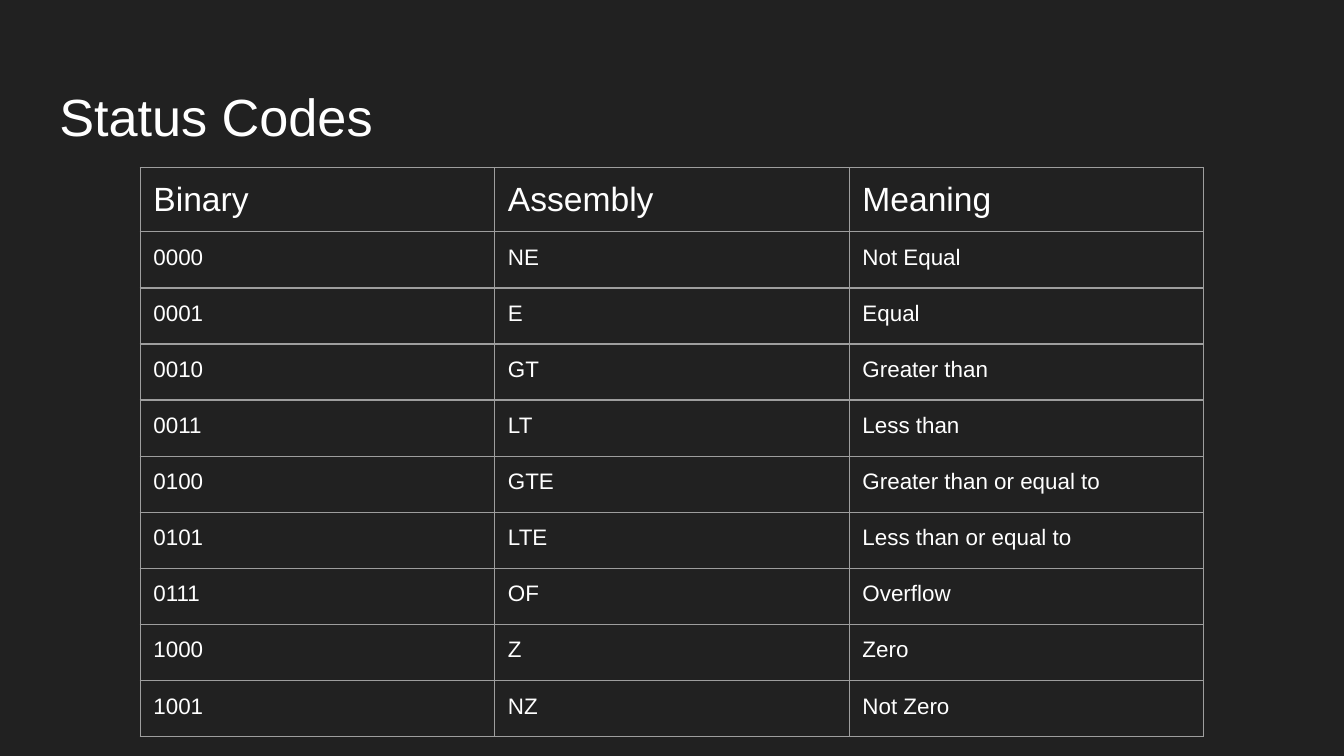
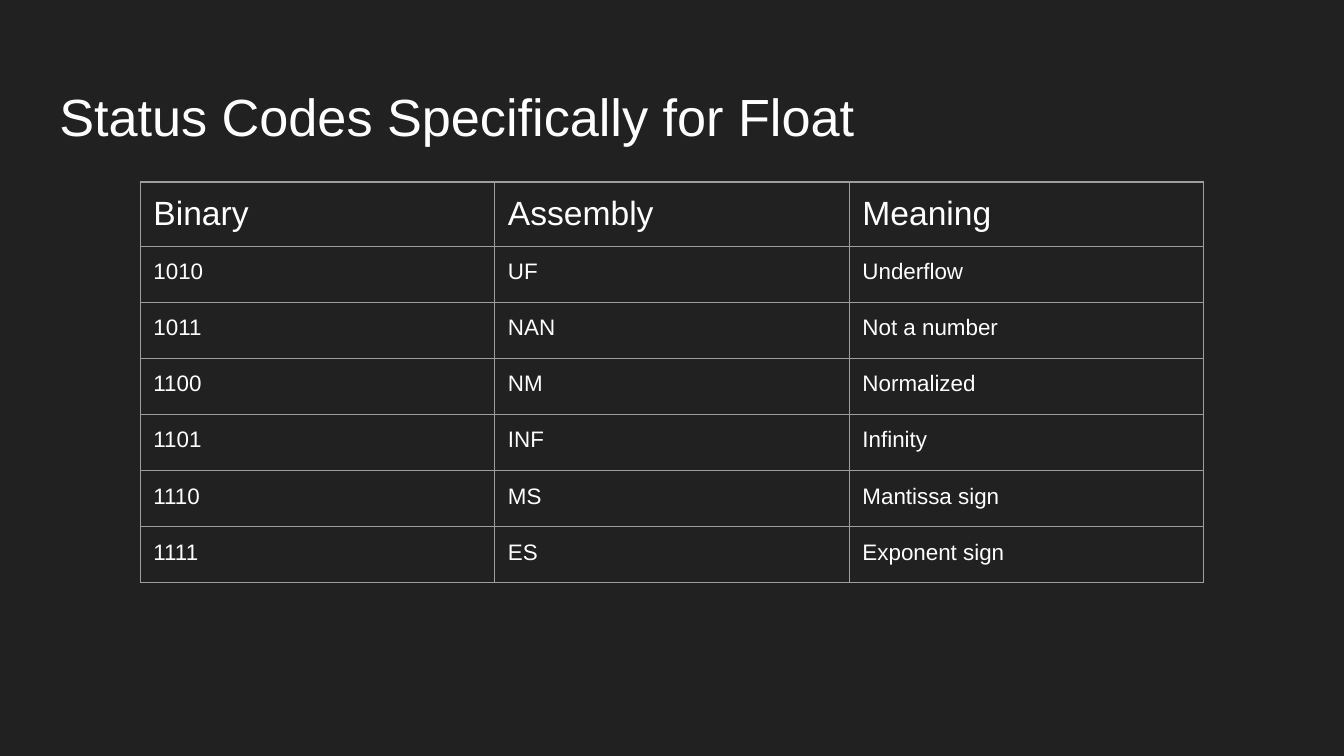
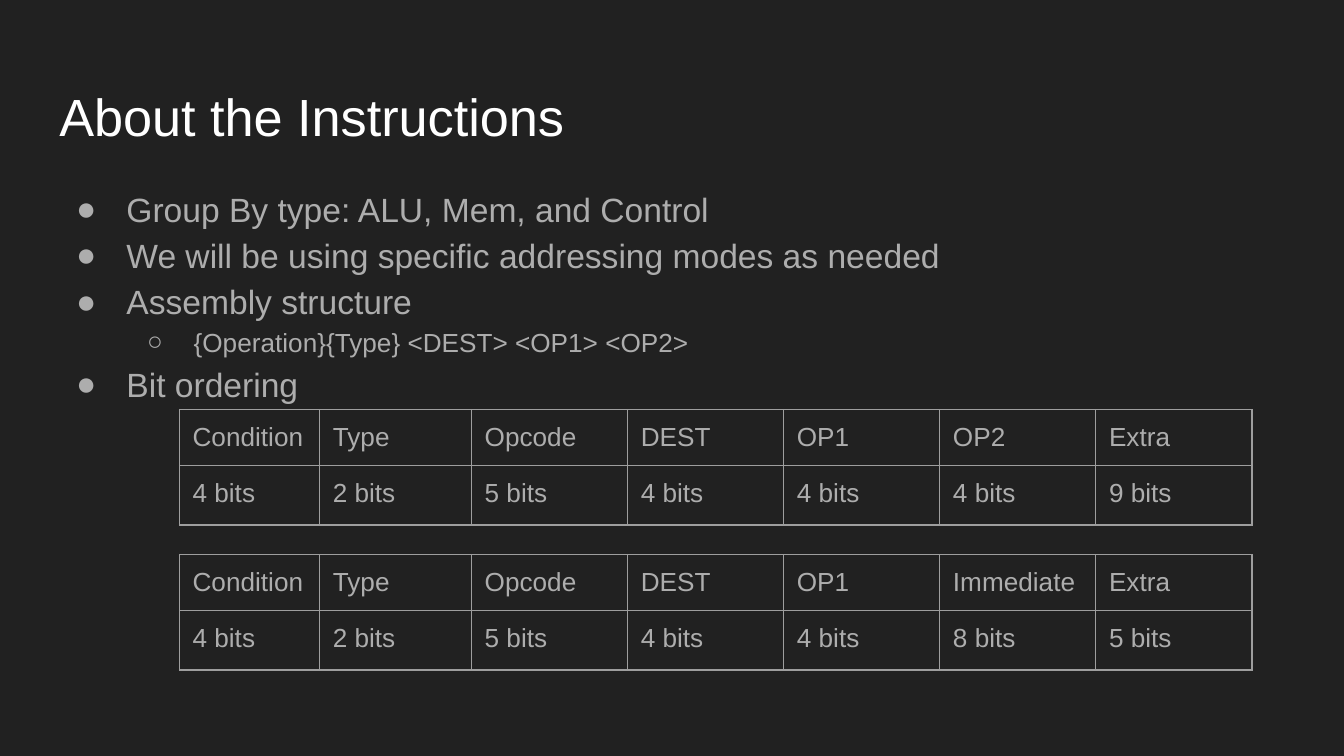
from dataclasses import dataclass

from lxml import etree
from pptx import Presentation
from pptx.dml.color import RGBColor
from pptx.enum.text import MSO_ANCHOR, MSO_AUTO_SIZE, PP_ALIGN
from pptx.oxml.ns import qn
from pptx.util import Cm, Pt

LEFT = PP_ALIGN.LEFT
TOP = MSO_ANCHOR.TOP
NO_AUTOSIZE = MSO_AUTO_SIZE.NONE

# Shared look
FONT = "Arial"
BACKGROUND = "212121"
WHITE = "FFFFFF"
GREY = "ADADAD"
BORDER = "9E9E9E"
INSET = Cm(0.25)
TITLE_ONLY, TITLE_AND_BODY = 5, 1


@dataclass
class Grid:
    """A bordered table; positions and sizes in centimetres."""
    left: float
    top: float
    cols: list[float]
    row_heights: list[float]
    rows: list[list[str]]
    head_size: int = 18
    size: int = 12
    color: str = WHITE


@dataclass
class Bullet:
    text: str
    level: int = 0


@dataclass
class BulletStyle:
    char: str
    margin: float
    hanging: float
    size: int


BULLET_STYLES = [BulletStyle("●", 1.27, 0.95, 18), BulletStyle("○", 2.54, 0.88, 14)]

# Content
CODE_HEAD = ["Binary", "Assembly", "Meaning"]
STATUS_CODES = [
    CODE_HEAD,
    ["0000", "NE", "Not Equal"],
    ["0001", "E", "Equal"],
    ["0010", "GT", "Greater than"],
    ["0011", "LT", "Less than"],
    ["0100", "GTE", "Greater than or equal to"],
    ["0101", "LTE", "Less than or equal to"],
    ["0111", "OF", "Overflow"],
    ["1000", "Z", "Zero"],
    ["1001", "NZ", "Not Zero"],
]
FLOAT_CODES = [
    CODE_HEAD,
    ["1010", "UF", "Underflow"],
    ["1011", "NAN", "Not a number"],
    ["1100", "NM", "Normalized"],
    ["1101", "INF", "Infinity"],
    ["1110", "MS", "Mantissa sign"],
    ["1111", "ES", "Exponent sign"],
]
INSTRUCTION_NOTES = [
    Bullet("Group By type: ALU, Mem, and Control"),
    Bullet("We will be using specific addressing modes as needed"),
    Bullet("Assembly structure"),
    Bullet("{Operation}{Type} <DEST> <OP1> <OP2>", level=1),
    Bullet("Bit ordering"),
]
FIELDS = ["Condition", "Type", "Opcode", "DEST", "OP1"]
FIELD_BITS = [4, 2, 5, 4, 4]


def rgb(color: str) -> RGBColor:
    return RGBColor.from_string(color)


def write(p, text: str, *, size: int, color: str, line_spacing: float = 1.0) -> None:
    p.alignment = LEFT
    p.line_spacing = line_spacing
    p.space_before = p.space_after = Pt(0)
    r = p.add_run()
    r.text = text
    r.font.name = FONT
    r.font.size = Pt(size)
    r.font.color.rgb = rgb(color)


def place(sp, left: float, top: float, width: float, height: float):
    """Move a placeholder and return its prepared text frame."""
    sp.left, sp.top, sp.width, sp.height = map(Cm, (left, top, width, height))
    tf = sp.text_frame
    tf.word_wrap = True
    tf.auto_size = NO_AUTOSIZE
    tf.vertical_anchor = TOP
    tf.margin_left = tf.margin_top = tf.margin_right = tf.margin_bottom = INSET
    return tf


def add_slide(prs, title: str, layout: int = TITLE_ONLY):
    s = prs.slides.add_slide(prs.slide_layouts[layout])
    tf = place(s.shapes.title, 0.87, 1.24, 23.67, 1.59)
    tf.margin_top = Cm(0.35)
    write(tf.paragraphs[0], title, size=28, color=WHITE)
    return s


def set_bullet(p, style: BulletStyle) -> None:
    pPr = p._p.get_or_add_pPr()
    pPr.set("marL", str(Cm(style.margin)))
    pPr.set("indent", str(-Cm(style.hanging)))
    color = etree.SubElement(pPr, qn("a:buClr"))
    etree.SubElement(color, qn("a:srgbClr"), val=GREY)
    etree.SubElement(pPr, qn("a:buFont"), typeface=FONT)
    etree.SubElement(pPr, qn("a:buChar"), char=style.char)


def add_bullets(s, bullets: list[Bullet]) -> None:
    tf = place(s.placeholders[1], 0.87, 3.2, 23.67, 9.49)
    for i, bullet in enumerate(bullets):
        p = tf.add_paragraph() if i else tf.paragraphs[0]
        p.level = bullet.level
        style = BULLET_STYLES[bullet.level]
        write(p, bullet.text, size=style.size, color=GREY, line_spacing=1.15)
        set_bullet(p, style)


def set_borders(cell) -> None:
    tcPr = cell._tc.get_or_add_tcPr()
    for i, side in enumerate(("lnL", "lnR", "lnT", "lnB")):
        ln = etree.Element(qn(f"a:{side}"), w=str(Pt(0.75)))
        fill = etree.SubElement(ln, qn("a:solidFill"))
        etree.SubElement(fill, qn("a:srgbClr"), val=BORDER)
        tcPr.insert(i, ln)


def add_grid(s, grid: Grid) -> None:
    frame = s.shapes.add_table(
        len(grid.rows), len(grid.cols), Cm(grid.left), Cm(grid.top),
        Cm(sum(grid.cols)), Cm(sum(grid.row_heights)))
    table = frame.table
    table.first_row = table.horz_banding = False
    for col, width in zip(table.columns, grid.cols):
        col.width = Cm(width)
    for row, height in zip(table.rows, grid.row_heights):
        row.height = Cm(height)
    for i, texts in enumerate(grid.rows):
        for j, text in enumerate(texts):
            cell = table.cell(i, j)
            cell.margin_left = cell.margin_right = INSET
            cell.margin_top = cell.margin_bottom = INSET
            cell.vertical_anchor = TOP
            cell.fill.background()
            set_borders(cell)
            write(cell.text_frame.paragraphs[0], text, color=grid.color,
                  size=grid.size if i else grid.head_size)


def code_grid(top: float, rows: list[list[str]]) -> Grid:
    return Grid(2.65, top, [6.7] * 3, [1.06] * len(rows), rows)


def bit_grid(top: float, operand: str, operand_bits: int, extra_bits: int) -> Grid:
    bits = FIELD_BITS + [operand_bits, extra_bits]
    rows = [FIELDS + [operand, "Extra"], [f"{n} bits" for n in bits]]
    return Grid(3.39, top, [2.65, 2.87] + [2.95] * 5, [1.02, 1.13], rows,
                head_size=14, size=14, color=GREY)


def main() -> None:
    prs = Presentation()
    prs.slide_width, prs.slide_height = Cm(25.4), Cm(14.29)
    fill = prs.slide_master.background.fill
    fill.solid()
    fill.fore_color.rgb = rgb(BACKGROUND)

    # Status code tables
    s = add_slide(prs, "Status Codes")
    add_grid(s, code_grid(3.17, STATUS_CODES))
    s = add_slide(prs, "Status Codes Specifically for Float")
    add_grid(s, code_grid(3.44, FLOAT_CODES))

    # Instruction layout
    s = add_slide(prs, "About the Instructions", TITLE_AND_BODY)
    add_bullets(s, INSTRUCTION_NOTES)
    add_grid(s, bit_grid(7.74, "OP2", 4, 9))
    add_grid(s, bit_grid(10.48, "Immediate", 8, 5))

    prs.save("out.pptx")


if __name__ == "__main__":
    main()
